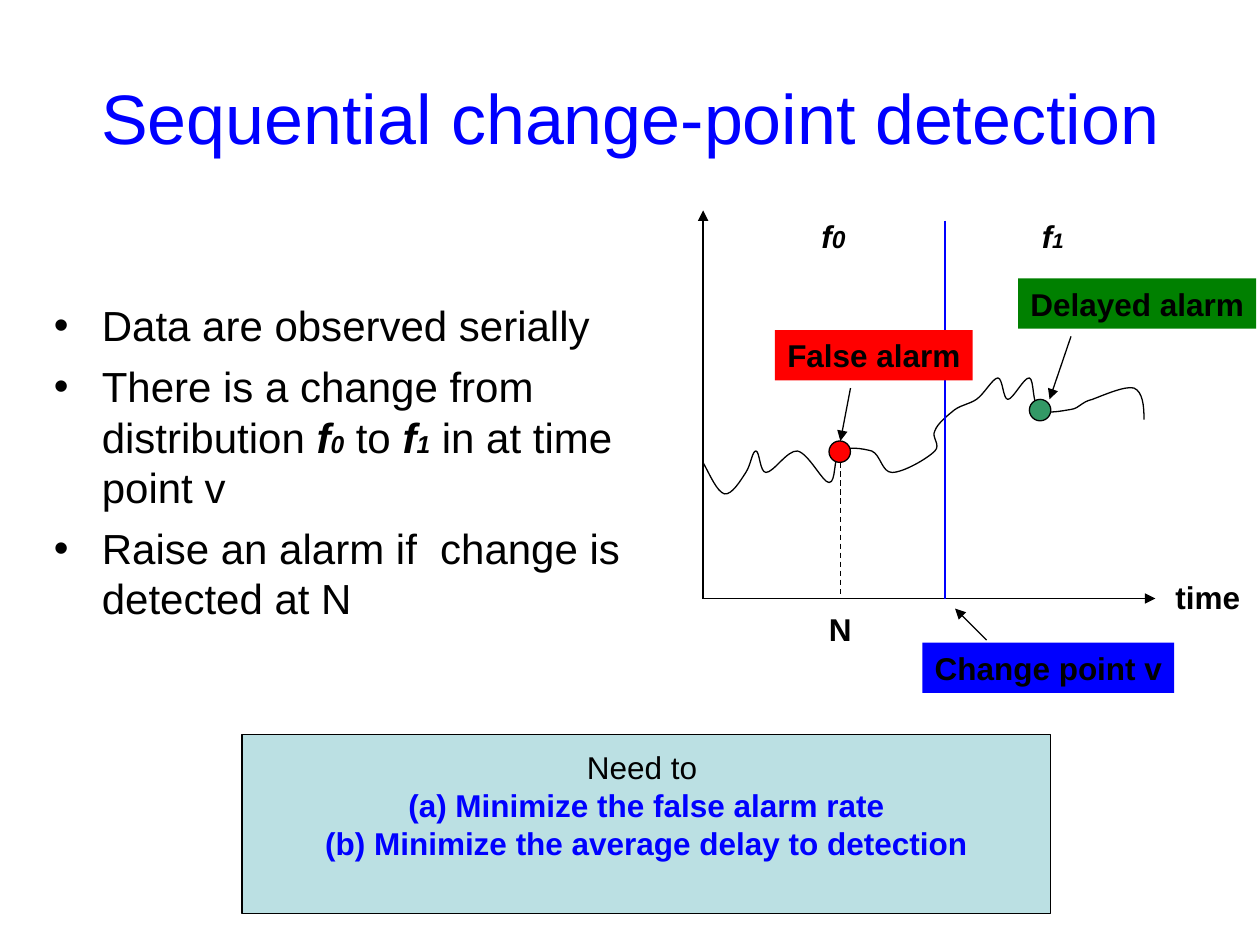
from lxml.etree import SubElement
from pptx import Presentation
from pptx.dml.color import RGBColor
from pptx.enum.dml import MSO_LINE
from pptx.enum.shapes import MSO_CONNECTOR, MSO_SHAPE
from pptx.enum.text import MSO_ANCHOR, PP_ALIGN
from pptx.oxml.ns import qn
from pptx.util import Inches, Pt

THEME = {
    "font": "Arial",
    "title": 40, "body": 24, "label": 18, "subscript": 14, "small": 12,
    "black": "000000", "blue": "0000FF", "red": "FF0000",
    "green": "008000", "teal": "339966", "pale": "BBE0E3",
    "thin": 0.75, "thick": 1.25,
}

TITLE = "Sequential change-point detection"
SYMBOL = {"bold": True, "italic": True}
SUBSCRIPT = {**SYMBOL, "size": "subscript"}
BULLETS = [
    [("Data are observed serially", {})],
    [("There is a change from distribution", {}), (" f", SYMBOL), ("0", SUBSCRIPT),
     (" to ", {}), ("f", SYMBOL), ("1", SUBSCRIPT), (" in at time point v", {})],
    [("Raise an alarm if  change is detected at N", {})],
]
GOAL = {"bold": True, "color": "blue"}
GOALS = [
    [("Need to ", {})],
    [("(a) Minimize the false alarm rate", GOAL)],
    [("(b) Minimize the average delay to detection", GOAL)],
]
STRONG = {"bold": True}
LABELS = [
    ([("Change point v", STRONG)], (7.32, 5.1, 2, 0.4), "blue"),
    ([("False alarm", STRONG)], (6.15, 2.62, 1.57, 0.4), "red"),
    ([("Delayed alarm", STRONG)], (8.08, 2.21, 1.89, 0.4), "green"),
    ([("f", SYMBOL), ("0", SUBSCRIPT)], (6.42, 1.67, 0.39, 0.4), None),
    ([("f", SYMBOL), ("1", {**SYMBOL, "size": "small"})], (8.17, 1.67, 0.37, 0.4), None),
    ([("time", STRONG)], (9.23, 4.54, 0.71, 0.4), None),
    ([("N", STRONG)], (6.48, 4.79, 0.38, 0.4), None),
]

ORIGIN = (5.58, 4.75)
AXES = [(ORIGIN, (5.58, 1.67)), (ORIGIN, (9.17, 4.75))]
CHANGE_LINE = ((7.5, 1.75), (7.5, 4.75))
ALARM_LINE = ((6.67, 3.67), (6.67, 4.75))
POINTERS = [
    ((6.75, 3.08), (6.67, 3.5)),
    ((8.5, 2.67), (8.33, 3.17)),
    ((7.83, 5.08), (7.58, 4.83)),
]
ALARMS = [((6.58, 3.5, 0.17, 0.17), "red"), ((8.17, 3.17, 0.17, 0.17), "teal")]
SIGNAL_START = (5.58, 3.67)
SIGNAL_CURVES = [
    ((5.64, 3.78), (5.69, 3.9), (5.75, 3.92)),
    ((5.81, 3.93), (5.88, 3.81), (5.92, 3.75)),
    ((5.96, 3.69), (5.97, 3.58), (6, 3.58)),
    ((6.03, 3.58), (6.03, 3.75), (6.08, 3.75)),
    ((6.14, 3.75), (6.25, 3.57), (6.33, 3.58)),
    ((6.42, 3.6), (6.53, 3.83), (6.58, 3.83)),
    ((6.64, 3.83), (6.61, 3.63), (6.67, 3.58)),
    ((6.72, 3.54), (6.85, 3.56), (6.92, 3.58)),
    ((6.99, 3.61), (7, 3.75), (7.08, 3.75)),
    ((7.17, 3.75), (7.36, 3.64), (7.42, 3.58)),
    ((7.47, 3.53), (7.39, 3.47), (7.42, 3.42)),
    ((7.44, 3.36), (7.53, 3.29), (7.58, 3.25)),
    ((7.64, 3.21), (7.69, 3.21), (7.75, 3.17)),
    ((7.81, 3.13), (7.88, 3), (7.92, 3)),
    ((7.96, 3), (7.96, 3.17), (8, 3.17)),
    ((8.04, 3.17), (8.13, 2.99), (8.17, 3)),
    ((8.21, 3.01), (8.19, 3.21), (8.25, 3.25)),
    ((8.31, 3.29), (8.43, 3.26), (8.5, 3.25)),
    ((8.57, 3.24), (8.58, 3.19), (8.67, 3.17)),
    ((8.75, 3.14), (8.93, 3.06), (9, 3.08)),
    ((9.07, 3.11), (9.08, 3.22), (9.08, 3.33)),
]


def color(name):
    return RGBColor.from_string(THEME[name])


def inches(values):
    return [Inches(value) for value in values]


def add_bullet(paragraph):
    properties = paragraph._p.get_or_add_pPr()
    properties.set("marL", str(Inches(0.38)))
    properties.set("indent", str(Inches(-0.38)))
    SubElement(properties, qn("a:buFont")).set("typeface", THEME["font"])
    SubElement(properties, qn("a:buChar")).set("char", "•")


def write(frame, paragraphs, size="label", align=PP_ALIGN.LEFT, anchor=MSO_ANCHOR.TOP,
          bullet=False, gap=0, top=0.05, right=0.1):
    frame.word_wrap = True
    frame.vertical_anchor = anchor
    frame.margin_left, frame.margin_right = Inches(0.1), Inches(right)
    frame.margin_top, frame.margin_bottom = Inches(top), Inches(0.05)
    for index, spans in enumerate(paragraphs):
        paragraph = frame.add_paragraph() if index else frame.paragraphs[0]
        if bullet:
            add_bullet(paragraph)
        paragraph.alignment = align
        paragraph.space_before = Pt(gap if index else 0)
        for text, style in spans:
            span = paragraph.add_run()
            span.text = text
            span.font.name = THEME["font"]
            span.font.size = Pt(THEME[style.get("size", size)])
            span.font.bold = style.get("bold", False)
            span.font.italic = style.get("italic", False)
            span.font.color.rgb = color(style.get("color", "black"))


def add_block(page, kind, place, fill, outlined=True):
    block = page.shapes.add_shape(kind, *inches(place))
    block.shadow.inherit = False
    block.fill.solid()
    block.fill.fore_color.rgb = color(fill)
    if outlined:
        block.line.color.rgb = color("black")
        block.line.width = Pt(THEME["thin"])
    else:
        block.line.fill.background()
    return block


def add_line(page, ends, shade="black", width="thin", arrow=False, dashed=False):
    start, end = ends
    line = page.shapes.add_connector(MSO_CONNECTOR.STRAIGHT, *inches(start + end))
    line.line.color.rgb = color(shade)
    line.line.width = Pt(THEME[width])
    if dashed:
        line.line.dash_style = MSO_LINE.DASH
    if arrow:
        SubElement(line.line._get_or_add_ln(), qn("a:tailEnd")).set("type", "triangle")
    SubElement(line._element.spPr, qn("a:effectLst"))


def add_curve(page, start, curves):
    builder = page.shapes.build_freeform(*inches(start), scale=1.0)
    builder.add_line_segments([inches(point) for curve in curves for point in curve], close=False)
    signal = builder.convert_to_shape()
    signal.shadow.inherit = False
    signal.fill.background()
    signal.line.color.rgb = color("black")
    signal.line.width = Pt(THEME["thin"])
    outline = next(signal._element.iter(qn("a:path")))
    steps = outline.findall(qn("a:lnTo"))
    for first in range(0, len(steps), 3):
        bend = SubElement(outline, qn("a:cubicBezTo"))
        for step in steps[first:first + 3]:
            bend.append(step[0])
            outline.remove(step)


def add_label(page, spans, place, fill):
    if fill:
        box = add_block(page, MSO_SHAPE.RECTANGLE, place, fill, outlined=False)
    else:
        box = page.shapes.add_textbox(*inches(place))
    write(box.text_frame, [spans], right=0)


def main():
    deck = Presentation()
    deck.slide_width, deck.slide_height = Inches(10), Inches(7.5)
    page = deck.slides.add_slide(deck.slide_layouts[5])

    title = page.shapes.title
    title.left, title.top, title.width, title.height = inches((0.5, 0.3, 9, 1.25))
    write(title.text_frame, [[(TITLE, {"color": "blue"})]], size="title",
          align=PP_ALIGN.CENTER, anchor=MSO_ANCHOR.MIDDLE)

    body = page.shapes.add_textbox(*inches((0.33, 2.33, 5.08, 2.67)))
    write(body.text_frame, BULLETS, size="body", bullet=True, gap=6)

    goals = add_block(page, MSO_SHAPE.RECTANGLE, (1.92, 5.83, 6.42, 1.42), "pale")
    write(goals.text_frame, GOALS, align=PP_ALIGN.CENTER, top=0.11)

    for axis in AXES:
        add_line(page, axis, arrow=True)
    add_curve(page, SIGNAL_START, SIGNAL_CURVES)
    add_line(page, CHANGE_LINE, shade="blue", width="thick")
    add_line(page, ALARM_LINE, dashed=True)
    for place, fill in ALARMS:
        add_block(page, MSO_SHAPE.OVAL, place, fill)
    for spans, place, fill in LABELS:
        add_label(page, spans, place, fill)
    for pointer in POINTERS:
        add_line(page, pointer, arrow=True)

    deck.save("out.pptx")


if __name__ == "__main__":
    main()
